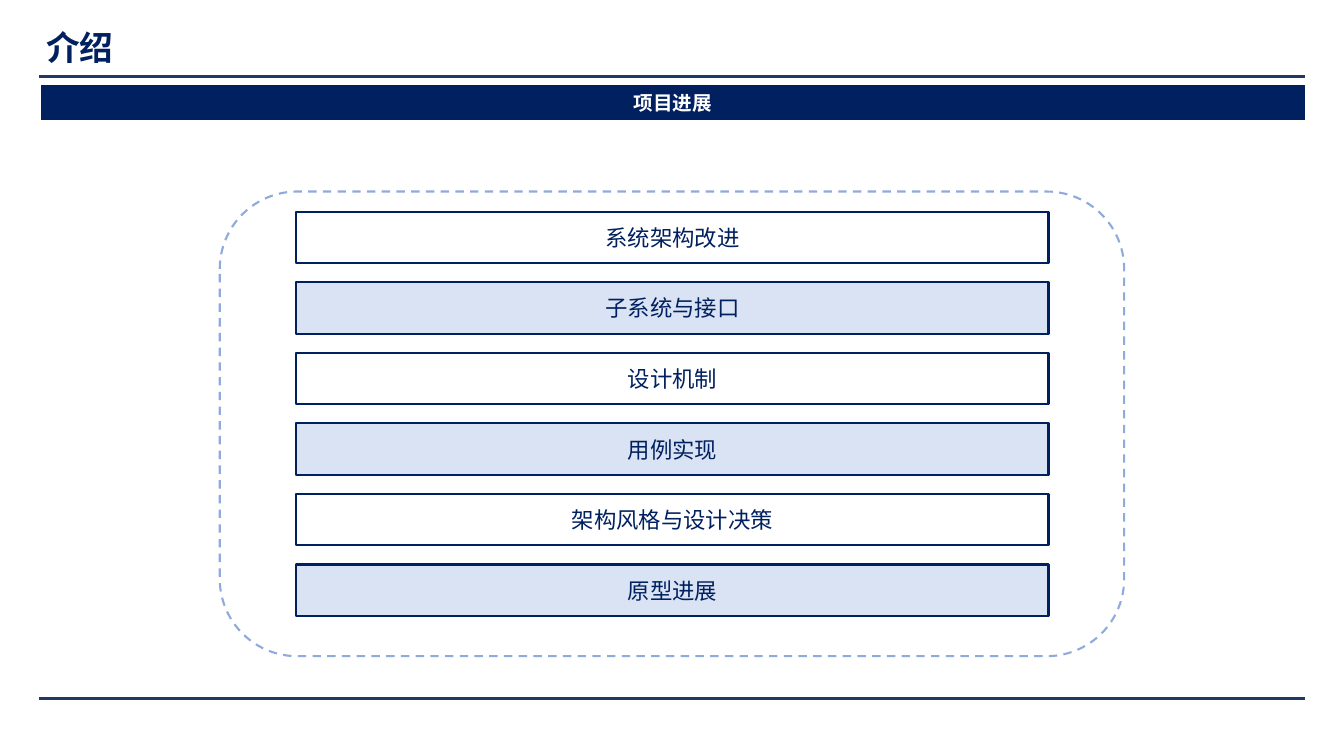
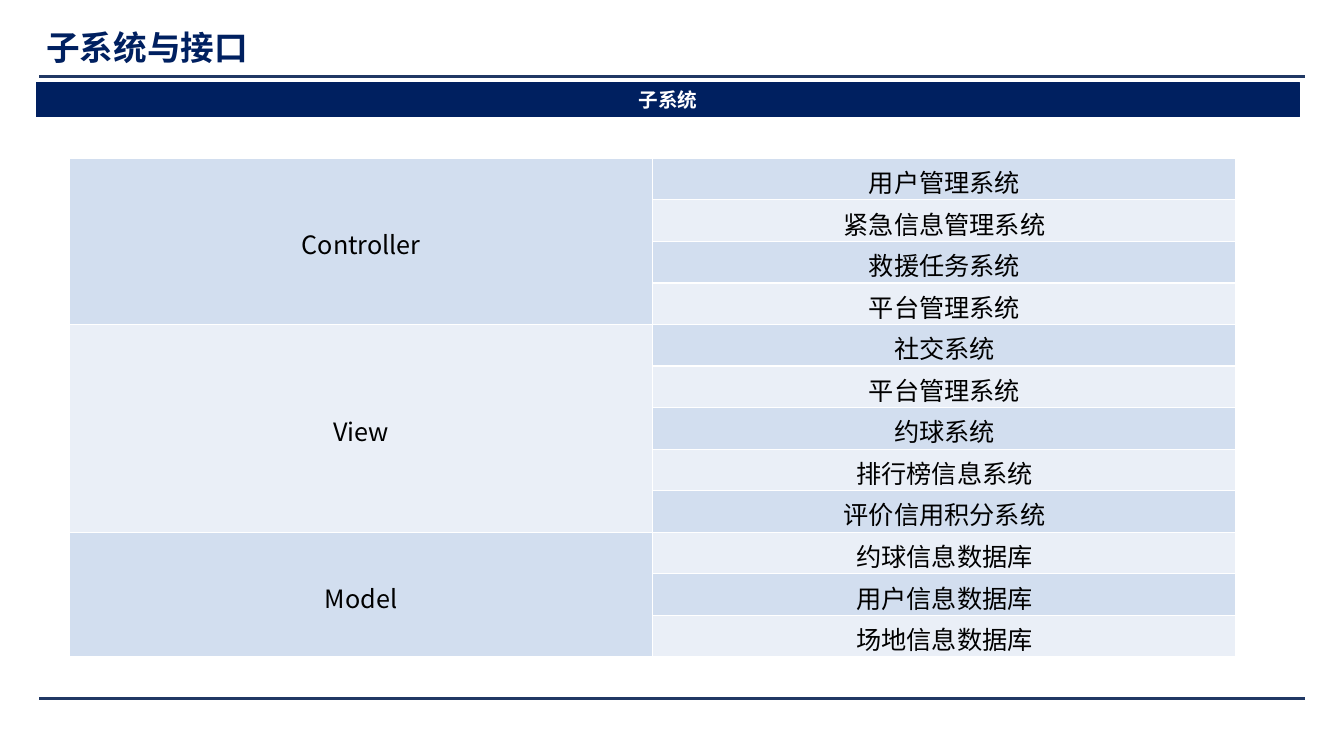
from lxml import etree
from pptx import Presentation
from pptx.dml.color import RGBColor
from pptx.enum.dml import MSO_LINE
from pptx.enum.shapes import MSO_CONNECTOR, MSO_SHAPE
from pptx.enum.text import MSO_ANCHOR, MSO_AUTO_SIZE, PP_ALIGN
from pptx.oxml.ns import qn
from pptx.util import Inches, Pt

STRAIGHT = MSO_CONNECTOR.STRAIGHT
RECTANGLE, ROUNDED = MSO_SHAPE.RECTANGLE, MSO_SHAPE.ROUNDED_RECTANGLE
LEFT, CENTER = PP_ALIGN.LEFT, PP_ALIGN.CENTER
TOP, MIDDLE = MSO_ANCHOR.TOP, MSO_ANCHOR.MIDDLE
DASH = MSO_LINE.DASH
NO_FIT = MSO_AUTO_SIZE.NONE

NAVY = RGBColor(0x00, 0x20, 0x60)
RULE = RGBColor(0x20, 0x38, 0x64)
FRAME = RGBColor(0x8F, 0xAA, 0xDC)
PALE = RGBColor(0xDA, 0xE3, 0xF3)
ROW_DARK = RGBColor(0xD2, 0xDE, 0xEF)
ROW_LIGHT = RGBColor(0xEA, 0xEF, 0xF7)
WHITE = RGBColor(0xFF, 0xFF, 0xFF)
BLACK = RGBColor(0x00, 0x00, 0x00)
CJK_FONT = "Noto Sans CJK SC"

# Slide title, band text, band left and band top
PAGES = [
    ("介绍", "项目进展", 0.41, 0.85),
    ("子系统与接口", "子系统", 0.36, 0.82),
]
TOPICS = ["系统架构改进", "子系统与接口", "设计机制",
          "用例实现", "架构风格与设计决策", "原型进展"]
LAYERS = [
    ("Controller", ["用户管理系统", "紧急信息管理系统", "救援任务系统", "平台管理系统"]),
    ("View", ["社交系统", "平台管理系统", "约球系统", "排行榜信息系统", "评价信用积分系统"]),
    ("Model", ["约球信息数据库", "用户信息数据库", "场地信息数据库"]),
]


def write(frame, text, size, color, align=CENTER, font=CJK_FONT, bold=False):
    """Fill a text frame with one styled paragraph."""
    para = frame.paragraphs[0]
    para.text = text
    para.alignment = align
    para.font.size = Pt(size)
    para.font.bold = bold
    para.font.color.rgb = color
    para.font.name = font
    latin = para._p.pPr.find(qn("a:defRPr")).find(qn("a:latin"))
    east_asian = etree.Element(qn("a:ea"), typeface=CJK_FONT)
    latin.addnext(east_asian)


def add_box(shapes, kind, left, top, width, height, fill, line, weight):
    """Add a flat shape; a fill of None leaves it open."""
    box = shapes.add_shape(kind, Inches(left), Inches(top), Inches(width), Inches(height))
    box.shadow.inherit = False
    if fill is None:
        box.fill.background()
    else:
        box.fill.solid()
        box.fill.fore_color.rgb = fill
    box.line.color.rgb = line
    box.line.width = Pt(weight)
    box.text_frame.vertical_anchor = MIDDLE
    return box


deck = Presentation()
deck.slide_width, deck.slide_height = Inches(13.33), Inches(7.5)

# Shared title position
layout = deck.slide_layouts.get_by_name("Title Only")
layout_title = layout.placeholders[0]
layout_title.left, layout_title.top = Inches(0.36), Inches(0.22)
layout_title.width, layout_title.height = Inches(10.27), Inches(0.5)

# Title, rules and band of every slide
for title, band_text, band_left, band_top in PAGES:
    page = deck.slides.add_slide(layout)
    title_frame = page.shapes.title.text_frame
    title_frame.auto_size = NO_FIT
    title_frame.vertical_anchor = MIDDLE
    write(title_frame, title, 24, NAVY, align=LEFT, bold=True)

    for y in (0.76, 6.93):
        rule = page.shapes.add_connector(STRAIGHT, Inches(0.39), Inches(y),
                                         Inches(12.94), Inches(y))
        rule.line.color.rgb = RULE
        rule.line.width = Pt(2.25)
        etree.SubElement(rule._element.spPr, qn("a:effectLst"))

    band = add_box(page.shapes, RECTANGLE, band_left, band_top, 12.53, 0.34, NAVY, NAVY, 0.75)
    band.text_frame.margin_top = band.text_frame.margin_bottom = 0
    write(band.text_frame, band_text, 14, WHITE, font="Arial", bold=True)

intro_page, subsystem_page = deck.slides

# Framed list of topics
topic_group = intro_page.shapes.add_group_shape()
topic_frame = add_box(topic_group.shapes, ROUNDED, 2.18, 1.9, 8.97, 4.61, None, FRAME, 1.5)
topic_frame.line.dash_style = DASH
for index, topic in enumerate(TOPICS):
    fill = PALE if index % 2 else None
    topic_box = add_box(topic_group.shapes, RECTANGLE, 2.94, 2.1 + 0.7 * index,
                        7.46, 0.51, fill, NAVY, 1.5)
    write(topic_box.text_frame, topic, 16, NAVY)

# Table of subsystems by layer
row_count = sum(len(systems) for _, systems in LAYERS)
table = subsystem_page.shapes.add_table(row_count, 2, Inches(0.69), Inches(1.57),
                                        Inches(11.57), Inches(4.87)).table
table.first_row = table.horz_banding = False

# White cell borders and tight margins
for cell in table.iter_cells():
    properties = cell._tc.get_or_add_tcPr()
    for side in ("a:lnL", "a:lnR", "a:lnT", "a:lnB"):
        border = etree.SubElement(properties, qn(side), w=str(Pt(1)))
        border_fill = etree.SubElement(border, qn("a:solidFill"))
        etree.SubElement(border_fill, qn("a:srgbClr"), val=str(WHITE))
    cell.margin_top, cell.margin_bottom = Inches(0.05), 0

# Layer names on the left, their systems on the right
row = 0
for layer_index, (layer, systems) in enumerate(LAYERS):
    layer_cell = table.cell(row, 0)
    layer_cell.merge(table.cell(row + len(systems) - 1, 0))
    write(layer_cell.text_frame, layer, 18, BLACK)
    layer_cell.vertical_anchor = MIDDLE
    for system in systems:
        system_cell = table.cell(row, 1)
        write(system_cell.text_frame, system, 18, BLACK)
        system_cell.vertical_anchor = TOP
        for cell, band_index in ((table.cell(row, 0), layer_index), (system_cell, row)):
            cell.fill.solid()
            cell.fill.fore_color.rgb = ROW_LIGHT if band_index % 2 else ROW_DARK
        row += 1

deck.save("out.pptx")
